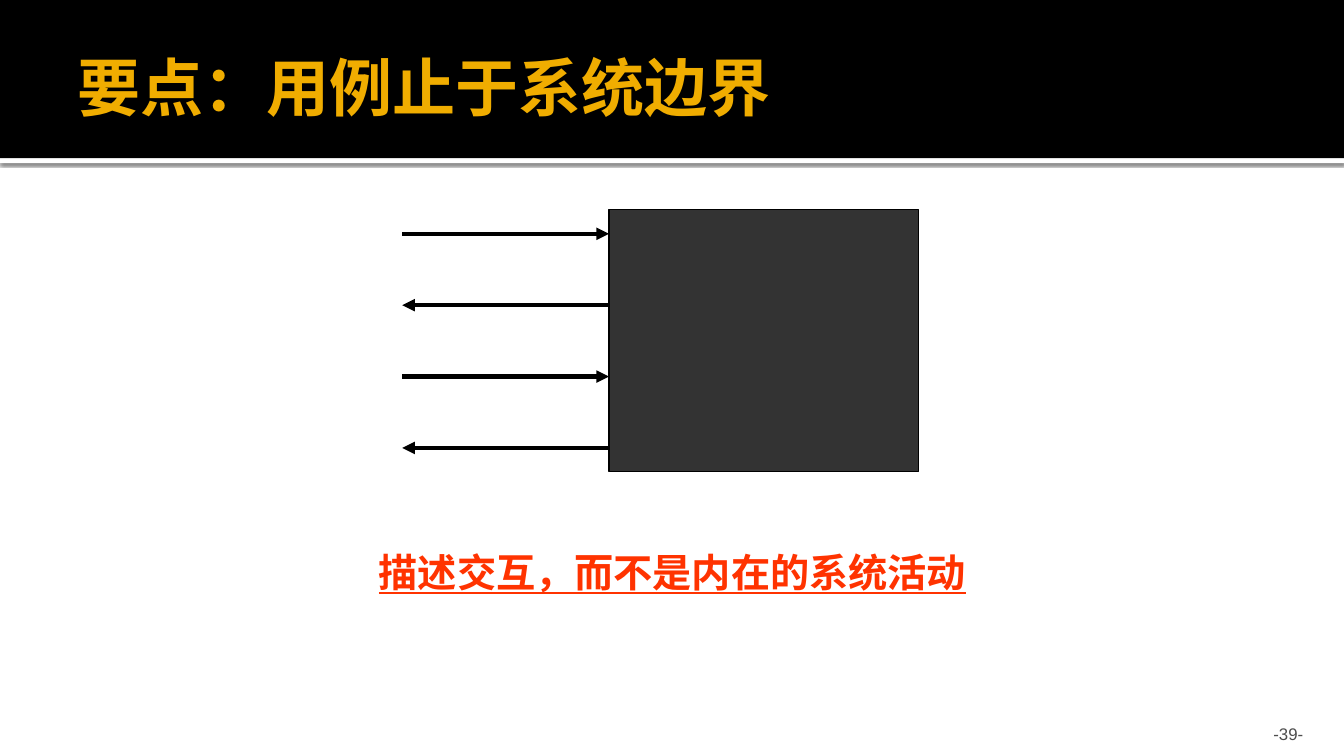
from lxml import etree
from pptx import Presentation
from pptx.dml.color import RGBColor
from pptx.enum.shapes import MSO_CONNECTOR as CONN, MSO_SHAPE as SHAPE
from pptx.enum.text import MSO_ANCHOR as ANCHOR, PP_ALIGN as ALIGN
from pptx.oxml import parse_xml
from pptx.oxml.ns import nsdecls, qn
from pptx.util import Pt

WIDTH, HEIGHT = 960, 540
BAND_H, STRIP_H = 113, 3.6
SYSTEM = (435, 149.8, 221, 187.2)
ARROW_LEFT, ARROW_TOP, ARROW_STEP = 287.3, 167, 51
ARROWS = ["in", "out", "in", "out"]

# text, box, insets, anchor, alignment, font, size, colour, bold, underline
TEXTS = [
    ("要点：用例止于系统边界", (48, 12, 864, 99), (7.2, 3.6, 3.6, 3.6),
     ANCHOR.MIDDLE, ALIGN.LEFT, "Times New Roman", 45, "F0AD00", True, False),
    ("-39-", (861, 510, 77, 21.5), (7.2, 3.6, 7.2, 0),
     ANCHOR.BOTTOM, ALIGN.RIGHT, "Arial", 12, "4D4D4D", False, False),
    ("描述交互，而不是内在的系统活动", (157, 388, 646.6, 41), (7.2, 3.6, 7.2, 3.6),
     ANCHOR.TOP, ALIGN.CENTER, "Arial", 28, "FF3300", True, True),
]

SHADOW = f"""<a:effectLst {nsdecls('a')}>
<a:outerShdw blurRad="{Pt(2.5)}" dist="{Pt(0.8)}" dir="5400000" algn="tl" rotWithShape="0">
<a:srgbClr val="000000"><a:alpha val="60000"/></a:srgbClr></a:outerShdw></a:effectLst>"""


def paint(color_format, hex_color):
    color_format.rgb = RGBColor.from_string(hex_color)


def add_rect(s, box, fill, line=None):
    sp = s.shapes.add_shape(SHAPE.RECTANGLE, *map(Pt, box))
    sp.shadow.inherit = False
    sp.fill.solid()
    paint(sp.fill.fore_color, fill)
    if line:
        paint(sp.line.color, line)
        sp.line.width = Pt(1)
    else:
        sp.line.fill.background()
    return sp


def add_arrow(s, x1, x2, y):
    cn = s.shapes.add_connector(CONN.STRAIGHT, *map(Pt, (x1, y, x2, y)))
    paint(cn.line.color, "000000")
    cn.line.width = Pt(3)
    etree.SubElement(cn.line._get_or_add_ln(), qn("a:tailEnd"), type="triangle")
    etree.SubElement(cn._element.spPr, qn("a:effectLst"))


def add_text(s, text, box, insets, anchor, align, font, size, color, bold, underline):
    tf = s.shapes.add_textbox(*map(Pt, box)).text_frame
    tf.word_wrap = True
    tf.vertical_anchor = anchor
    tf.margin_left, tf.margin_top, tf.margin_right, tf.margin_bottom = map(Pt, insets)
    p = tf.paragraphs[0]
    p.alignment = align
    r = p.add_run()
    r.text = text
    r.font.name, r.font.size = font, Pt(size)
    r.font.bold, r.font.underline = bold, underline
    paint(r.font.color, color)


def main():
    prs = Presentation()
    prs.slide_width, prs.slide_height = Pt(WIDTH), Pt(HEIGHT)
    s = prs.slides.add_slide(prs.slide_layouts[6])

    strip = add_rect(s, (0, BAND_H, WIDTH, STRIP_H), "FFFFFF")
    spPr = strip._element.spPr
    spPr.replace(spPr.find(qn("a:effectLst")), parse_xml(SHADOW))
    add_rect(s, (0, 0, WIDTH, BAND_H), "000000")

    add_rect(s, SYSTEM, "333333", "000000")
    for i, direction in enumerate(ARROWS):
        ends = (ARROW_LEFT, SYSTEM[0])
        x1, x2 = ends if direction == "in" else ends[::-1]
        add_arrow(s, x1, x2, ARROW_TOP + i * ARROW_STEP)

    for item in TEXTS:
        add_text(s, *item)
    prs.save("out.pptx")


if __name__ == "__main__":
    main()
